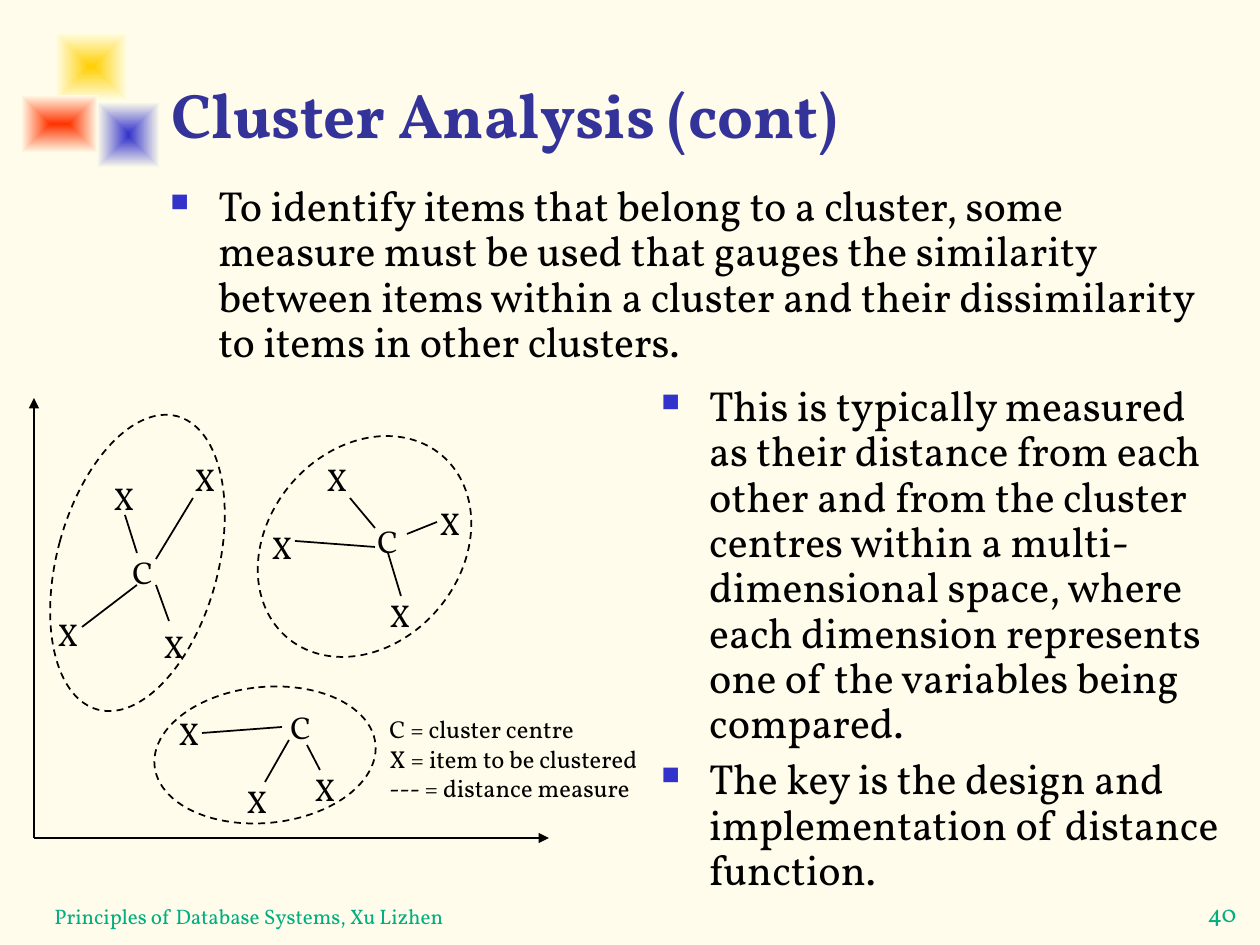
from lxml import etree
from pptx import Presentation, util as u
from pptx.dml.color import RGBColor
from pptx.enum import dml, shapes, text
from pptx.oxml.ns import qn

PX = u.Inches(1) / 126
FONT = "Vollkorn"
CREAM = RGBColor(0xFF, 0xFC, 0xEB)
FADE = RGBColor(0xFF, 0xFE, 0xEB)
YELLOW = RGBColor(0xFF, 0xCF, 0x01)
BLUE = RGBColor(0x33, 0x33, 0xCC)
RED = RGBColor(0xFF, 0x33, 0x00)
NAVY = RGBColor(0x33, 0x33, 0x99)
GREEN = RGBColor(0x00, 0xAE, 0x80)
BLACK = RGBColor(0, 0, 0)

TITLE = "Cluster Analysis (cont)"
INTRO = ["To identify items that belong to a cluster, some measure must be used that gauges "
         "the similarity between items within a cluster and their dissimilarity to items in "
         "other clusters."]
DETAILS = ["This is typically measured as their distance from each other and from the cluster "
           "centres within a multi-dimensional space, where each dimension represents one of "
           "the variables being compared.",
           "The key is the design and implementation of distance function."]
LEGEND = ["C = cluster centre", "X = item to be clustered", "--- = distance measure"]
FOOTER = "Principles of Database Systems, Xu Lizhen"
PAGE = "40"

SQUARES = [((55, 32, 73, 69), YELLOW), ((97, 102, 63, 66), BLUE), ((21, 95, 77, 58), RED)]
ORIGIN = (34, 838)
AXIS_ENDS = [(549, 838), (34, 398)]
# Each item: middle of its X, then the start and end of its distance line
CLUSTERS = [
    {"outline": (57, 411, 161, 304), "angle": 15.2, "centre": (142, 572),
     "items": [((123, 498), (137, 553), (125, 515)), ((173, 646), (156, 585), (169, 621)),
               ((67, 634), (137, 585), (82, 627)), ((204, 479), (156, 559), (193, 498))]},
    {"outline": (268, 427, 193, 239), "angle": 40.4, "centre": (387, 541),
     "items": [((336, 479), (375, 528), (350, 498)), ((449, 523), (407, 534), (437, 522)),
               ((399, 615), (388, 553), (401, 596)), ((281, 547), (375, 547), (295, 541))]},
    {"outline": (197, 644, 136, 222), "angle": 84.4, "centre": (300, 727),
     "items": [((188, 733), (282, 727), (202, 733)), ((256, 801), (289, 740), (265, 782)),
               ((324, 789), (307, 745), (320, 770))]},
]


def emu(values):
    return [round(v * PX) for v in values]


def add_bullet(p):
    pPr = p._p.get_or_add_pPr()
    pPr.set("marL", str(u.Inches(0.38)))
    pPr.set("indent", str(-u.Inches(0.38)))
    colour = etree.SubElement(pPr, qn("a:buClr"))
    etree.SubElement(colour, qn("a:srgbClr"), val=str(BLUE))
    etree.SubElement(pPr, qn("a:buSzPct"), val="60000")
    etree.SubElement(pPr, qn("a:buChar"), char="■")


def add_text(s, box, lines, size=24, color=BLACK, bold=False, align=text.PP_ALIGN.LEFT,
             anchor=text.MSO_ANCHOR.TOP, wrap=True, bullets=False):
    tf = s.shapes.add_textbox(*emu(box)).text_frame
    tf.word_wrap = wrap
    tf.vertical_anchor = anchor
    for i, line in enumerate(lines):
        p = tf.paragraphs[0] if i == 0 else tf.add_paragraph()
        p.alignment = align
        if bullets:
            p.line_spacing = 0.9
            p.space_before = u.Pt(6 if i else 0)
            add_bullet(p)
        r = p.add_run()
        r.text = line
        r.font.name, r.font.size, r.font.bold = FONT, u.Pt(size), bold
        r.font.color.rgb = color


def add_mark(s, letter, centre):
    x, y = centre
    add_text(s, (x - 22, y - 25, 44, 50), [letter], size=18,
             align=text.PP_ALIGN.CENTER, wrap=False)


def add_line(s, start, end, arrow=False):
    line = s.shapes.add_connector(shapes.MSO_CONNECTOR.STRAIGHT, *emu(start + end))
    line.line.color.rgb = BLACK
    line.line.width = u.Pt(1)
    if arrow:
        etree.SubElement(line.line._get_or_add_ln(), qn("a:tailEnd"), type="triangle")
    etree.SubElement(line._element.spPr, qn("a:effectLst"))


def add_square(s, box, color):
    """Square whose colour fades from its middle into the background."""
    sp = s.shapes.add_shape(shapes.MSO_SHAPE.RECTANGLE, *emu(box))
    sp.shadow.inherit = False
    sp.line.fill.background()
    sp.fill.gradient()
    for stop, rgb in zip(sp.fill.gradient_stops, (color, FADE)):
        stop.color.rgb = rgb
    grad = sp._element.spPr.find(qn("a:gradFill"))
    grad.remove(grad.find(qn("a:lin")))
    shade = etree.SubElement(grad, qn("a:path"), path="rect")
    etree.SubElement(shade, qn("a:fillToRect"), dict.fromkeys("ltrb", "50000"))


def add_outline(s, box, angle):
    sp = s.shapes.add_shape(shapes.MSO_SHAPE.OVAL, *emu(box))
    sp.shadow.inherit = False
    sp.rotation = angle
    sp.fill.background()
    sp.line.color.rgb = BLACK
    sp.line.width = u.Pt(1)
    sp.line.dash_style = dml.MSO_LINE.DASH


def main():
    prs = Presentation()
    prs.slide_width, prs.slide_height = emu((1260, 945))
    s = prs.slides.add_slide(prs.slide_layouts[6])
    s.background.fill.solid()
    s.background.fill.fore_color.rgb = CREAM

    for box, color in SQUARES:
        add_square(s, box, color)
    add_text(s, (1147, 892, 150, 48), [PAGE], size=14, color=GREEN,
             align=text.PP_ALIGN.CENTER, wrap=False)
    add_text(s, (42, 872, 819, 63), [FOOTER], size=12, color=GREEN,
             anchor=text.MSO_ANCHOR.BOTTOM)
    add_text(s, (159, 21, 1074, 136), [TITLE], size=36, color=NAVY, bold=True,
             anchor=text.MSO_ANCHOR.BOTTOM)
    add_text(s, (158, 179, 1080, 195), INTRO, bullets=True)
    add_text(s, (649, 379, 590, 527), DETAILS, bullets=True)

    for end in AXIS_ENDS:
        add_line(s, ORIGIN, end, arrow=True)
    for cluster in CLUSTERS:
        add_mark(s, "C", cluster["centre"])
        for item, start, end in cluster["items"]:
            add_mark(s, "X", item)
            add_line(s, start, end)
        add_outline(s, cluster["outline"], cluster["angle"])
    add_text(s, (377, 708, 299, 101), LEGEND, size=14)
    prs.save("out.pptx")


if __name__ == "__main__":
    main()
